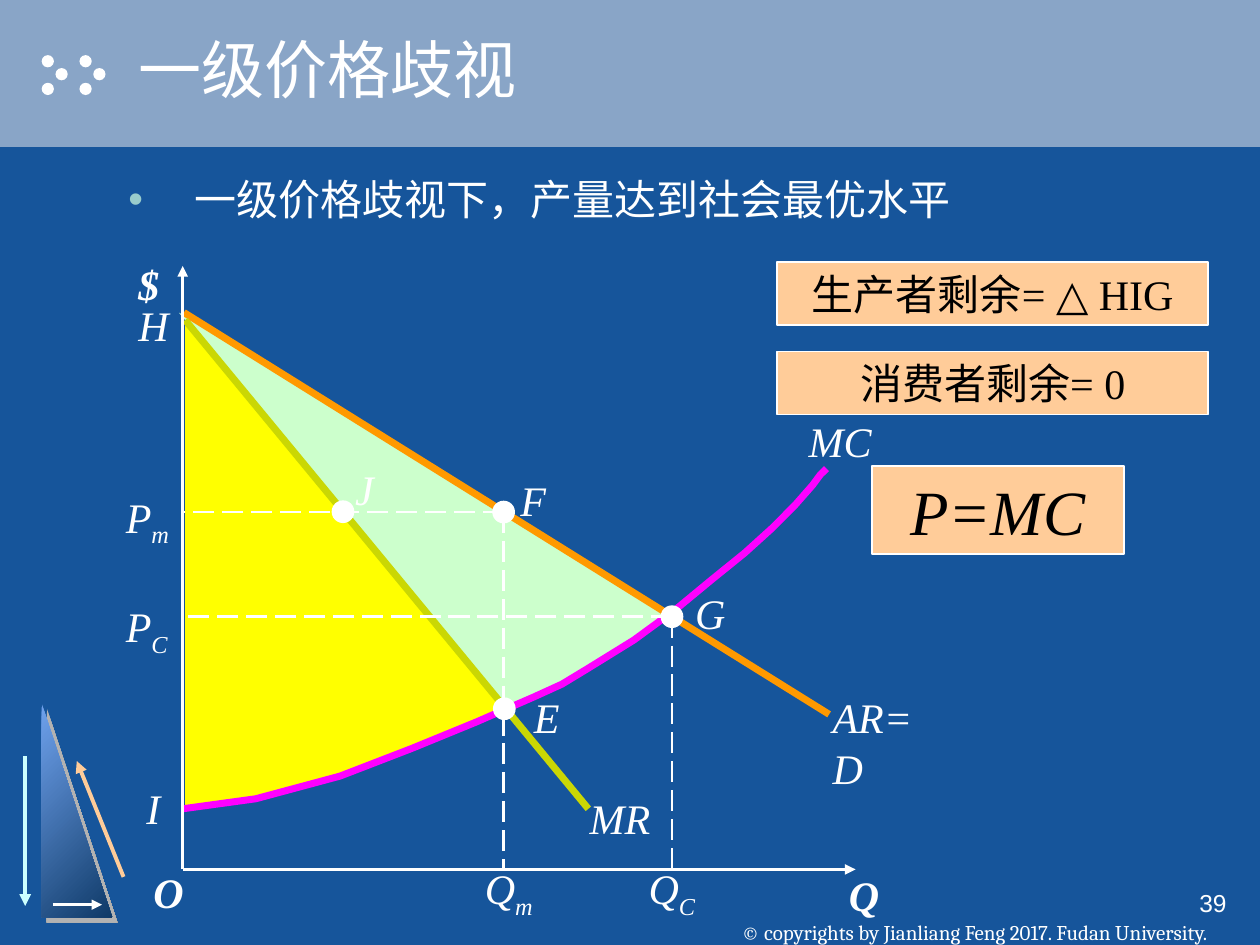
from dataclasses import dataclass

from lxml.etree import SubElement
from pptx import Presentation
from pptx.dml.color import RGBColor
from pptx.enum.dml import MSO_LINE
from pptx.enum.shapes import MSO_CONNECTOR, MSO_SHAPE
from pptx.enum.text import MSO_ANCHOR, MSO_AUTO_SIZE, PP_ALIGN
from pptx.oxml import parse_xml
from pptx.oxml.ns import nsdecls, qn
from pptx.util import Pt

Point = tuple[float, float]
WHITE, BLACK, PEACH = "FFFFFF", "000000", "FFCC99"
SERIF = "Times New Roman"

AXIS_X, AXIS_Y = 104.4, 496.8
F, E, G, J = (287.8, 292.6), (288.2, 405), (384, 352.4), (196, 292.4)
DOT_SIZE = 12
MC_CURVE = [
    (AXIS_X, 462.2), (146.2, 456.5), (194.4, 443.5), (235.4, 427.7), (272.2, 412.6),
    (305.3, 398.2), (321.1, 391), (335.5, 382.3), (362.2, 365.8), (385.9, 348.5),
    (406.8, 331.2), (425.5, 316.1), (441.4, 301.7), (454.3, 288.7), (464.4, 277.2),
    (468.7, 271.4), (472.3, 267.8),
]
BELOW_MR = [(105.8, 182.2), (105.8, 461.5), (154, 454.3), (206, 438.5), (250.6, 422), (286.6, 404)]
BETWEEN_MR_AND_AR = [(102.2, 178.6), (289.4, 404), (306, 398.2), (335.5, 382.3),
                     (358.6, 366.5), (381.6, 352)]


@dataclass
class Label:
    text: str
    left: float
    top: float
    width: float
    subscript: str = ""
    bold: bool = False


@dataclass
class Line:
    start: Point
    end: Point
    color: str = WHITE
    width: float = 1.5
    dashed: bool = False
    arrow: bool = False


@dataclass
class Callout:
    text: str
    left: float
    top: float
    width: float
    height: float
    size: float = 24
    italic: bool = False


AXIS_LABELS = [
    Label("AR=D", 468.7, 391.7, 77), Label("MR", 329.8, 449.3, 49), Label("MC", 455, 234, 50.4),
    Label("Q", 478, 493.2, 31.7, bold=True), Label("O", 80.6, 491.8, 31.7, bold=True),
    Label("$", 72, 144, 25.9, bold=True),
    Label("P", 64.8, 277.2, 38.9, "m"), Label("P", 64.8, 339.8, 38.2, "C"),
    Label("Q", 270, 489.6, 41.8, "m"), Label("Q", 363.6, 489.6, 41, "C"),
]
POINT_LABELS = [
    Label("J", 195.8, 255.6, 24), Label("E", 298, 386, 24), Label("F", 290.2, 262, 24),
    Label("G", 390.2, 326.2, 24), Label("H", 72, 162, 24), Label("I", 75.6, 437.8, 24),
]
GRAPH_LINES = [
    Line((105.1, 178.6), (473.8, 408.2), "FF9900", 4),
    Line((105.8, 182.9), (336.2, 462.2), "CAD704", 4),
]
AXES_AND_GUIDES = [
    Line((AXIS_X, AXIS_Y), (AXIS_X, 152), width=2, arrow=True),
    Line((AXIS_X, AXIS_Y), (488.9, AXIS_Y), width=2, arrow=True),
] + [
    Line(point, foot, dashed=True)
    for point in (F, G) for foot in ((point[0], AXIS_Y), (AXIS_X, point[1]))
]
TRIANGLE_ARROWS = [
    Line((14.4, 432), (14.4, 517.7), "CCFFFF", 2.25, arrow=True),
    Line((70.6, 501.1), (43.9, 434.9), PEACH, 2.25, arrow=True),
    Line((30.2, 517), (58.3, 517), arrow=True),
]
CALLOUTS = [
    Callout("P=MC", 498.2, 266.4, 144, 50.4, 36, True),
    Callout("生产者剩余= △ HIG", 444.2, 149.8, 246.2, 36),
    Callout("消费者剩余= 0", 444.2, 200.9, 246.2, 36),
]


def rgb(color: str) -> RGBColor:
    return RGBColor.from_string(color)


def format_font(font, size: float, color: str = WHITE, name: str = SERIF,
                bold: bool = False, italic: bool = False) -> None:
    font.name, font.size, font.bold, font.italic = name, Pt(size), bold, italic
    font.color.rgb = rgb(color)


def add_filled(shapes, kind, left: float, top: float, width: float, height: float,
               color: str, outline: str = ""):
    shape = shapes.add_shape(kind, Pt(left), Pt(top), Pt(width), Pt(height))
    shape.shadow.inherit = False
    shape.fill.solid()
    shape.fill.fore_color.rgb = rgb(color)
    if outline:
        shape.line.color.rgb = rgb(outline)
        shape.line.width = Pt(1)
    else:
        shape.line.fill.background()
    return shape


def add_line(shapes, line: Line) -> None:
    connector = shapes.add_connector(MSO_CONNECTOR.STRAIGHT, *map(Pt, line.start + line.end))
    connector.line.color.rgb = rgb(line.color)
    connector.line.width = Pt(line.width)
    if line.dashed:
        connector.line.dash_style = MSO_LINE.LONG_DASH
    properties = connector._element.spPr
    if line.arrow:
        SubElement(properties.find(qn("a:ln")), qn("a:tailEnd"), type="triangle")
    SubElement(properties, qn("a:effectLst"))


def add_outline(shapes, points: list[Point], closed: bool):
    builder = shapes.build_freeform(*map(Pt, points[0]))
    builder.add_line_segments([(Pt(x), Pt(y)) for x, y in points[1:]], close=closed)
    outline = builder.convert_to_shape()
    outline.shadow.inherit = False
    return outline


def add_area(shapes, points: list[Point], color: str) -> None:
    area = add_outline(shapes, points, True)
    area.fill.solid()
    area.fill.fore_color.rgb = rgb(color)
    area.line.fill.background()


def add_text(shapes, text: str, left: float, top: float, width: float, height: float):
    box = shapes.add_textbox(Pt(left), Pt(top), Pt(width), Pt(height))
    box.text_frame.text = text
    return box.text_frame


def add_label(shapes, label: Label, centred: bool = False) -> None:
    """Add an italic graph label; centred ones name a point on the curves."""
    frame = add_text(shapes, label.text, label.left, label.top, label.width, 42 if centred else 36)
    frame.word_wrap = centred
    paragraph = frame.paragraphs[0]
    if centred:
        paragraph.alignment = PP_ALIGN.CENTER
        paragraph.line_spacing = 1.2
    if label.subscript:
        paragraph.add_run().text = label.subscript
    for run in paragraph.runs:
        format_font(run.font, 24, bold=label.bold, italic=True)
    if label.subscript:
        paragraph.runs[1].font._element.set("baseline", "-25000")


def add_dot(shapes, centre: Point) -> None:
    left, top = (value - DOT_SIZE / 2 for value in centre)
    add_filled(shapes, MSO_SHAPE.OVAL, left, top, DOT_SIZE, DOT_SIZE, WHITE, WHITE)


def add_callout(shapes, callout: Callout) -> None:
    box = add_filled(shapes, MSO_SHAPE.RECTANGLE, callout.left, callout.top,
                     callout.width, callout.height, PEACH, WHITE)
    box.text_frame.text = callout.text
    paragraph = box.text_frame.paragraphs[0]
    paragraph.alignment = PP_ALIGN.CENTER
    format_font(paragraph.runs[0].font, callout.size, BLACK, italic=callout.italic)


def shadow_xml(color: str, distance: float) -> str:
    return (f'<a:effectLst {nsdecls("a")}><a:outerShdw dist="{Pt(distance)}" dir="2700000">'
            f'<a:srgbClr val="{color}"/></a:outerShdw></a:effectLst>')


def add_decoration(shapes) -> None:
    add_filled(shapes, MSO_SHAPE.RECTANGLE, 0, 0, 720, 84, "89A5C7")
    for group_left in (23.8, 45.4):
        for dx, top in ((0, 31.5), (7.9, 38.9), (0, 47.3)):
            add_filled(shapes, MSO_SHAPE.OVAL, group_left + dx, top, 7, 7, WHITE)
    triangle = add_filled(shapes, MSO_SHAPE.RIGHT_TRIANGLE, 23.8, 401.8, 40.3, 122.4, "6FA2ED")
    triangle.fill.gradient()
    triangle.fill.gradient_angle = 315
    for stop, color, position in zip(triangle.fill.gradient_stops, ("6FA2ED", "0F3A68"), (0, 1)):
        stop.color.rgb = rgb(color)
        stop.position = position
    properties = triangle._element.spPr
    properties.replace(properties.find(qn("a:effectLst")), parse_xml(shadow_xml("B2B2B2", 4.2)))
    for arrow in TRIANGLE_ARROWS:
        add_line(shapes, arrow)


def fill_placeholder(holder, text: str, left: float, top: float, width: float, height: float):
    holder.left, holder.top, holder.width, holder.height = map(Pt, (left, top, width, height))
    holder.text_frame.text = text
    holder.text_frame.auto_size = MSO_AUTO_SIZE.NONE
    paragraph = holder.text_frame.paragraphs[0]
    paragraph.alignment = PP_ALIGN.LEFT
    paragraph.space_before = Pt(0)
    return paragraph


def add_heading_and_bullet(slide) -> None:
    title = fill_placeholder(slide.shapes.title, "一级价格歧视", 72, 0, 648, 77.8)
    format_font(title.runs[0].font, 36, name="Arial")
    title.runs[0].font._element.find(qn("a:solidFill")).addnext(parse_xml(shadow_xml(BLACK, 1.5)))
    bullet = fill_placeholder(slide.placeholders[1], "一级价格歧视下，产量达到社会最优水平",
                              66.2, 95.8, 588.2, 360)
    properties = bullet._element.get_or_add_pPr()
    properties.set("marL", str(Pt(37.5)))
    properties.set("indent", str(Pt(-37.5)))
    SubElement(SubElement(properties, qn("a:buClr")), qn("a:srgbClr"), val="99CCCC")
    SubElement(properties, qn("a:buFont"), typeface="Arial")
    SubElement(properties, qn("a:buChar"), char="•")
    format_font(bullet.runs[0].font, 24)


def add_footer(shapes) -> None:
    copyright_line = add_text(shapes, "© copyrights by Jianliang Feng 2017. Fudan University.",
                              392, 504, 330, 36)
    copyright_line.word_wrap = False
    copyright_line.vertical_anchor = MSO_ANCHOR.BOTTOM
    copyright_line.margin_top = copyright_line.margin_bottom = Pt(0)
    copyright_line.paragraphs[0].alignment = PP_ALIGN.CENTER
    format_font(copyright_line.paragraphs[0].runs[0].font, 12, name="Cambria")
    page_number = add_text(shapes, "39", 558, 504, 150, 36)
    page_number.word_wrap = True
    page_number.paragraphs[0].alignment = PP_ALIGN.RIGHT
    format_font(page_number.paragraphs[0].runs[0].font, 14, name="Arial")


def add_graph(shapes) -> None:
    add_area(shapes, BELOW_MR, "FFFF00")
    add_area(shapes, BETWEEN_MR_AND_AR, "CCFFCC")
    for line in GRAPH_LINES:
        add_line(shapes, line)
    marginal_cost = add_outline(shapes, MC_CURVE, False)
    marginal_cost.fill.background()
    marginal_cost.line.color.rgb = rgb("FF00FF")
    marginal_cost.line.width = Pt(4)
    for line in AXES_AND_GUIDES:
        add_line(shapes, line)
    for label in AXIS_LABELS:
        add_label(shapes, label)
    for label in POINT_LABELS:
        add_label(shapes, label, centred=True)
    for point in (F, E, G, J):
        add_dot(shapes, point)


def main() -> None:
    presentation = Presentation()
    presentation.slide_width, presentation.slide_height = Pt(720), Pt(540)
    slide = presentation.slides.add_slide(presentation.slide_layouts[1])
    slide.background.fill.solid()
    slide.background.fill.fore_color.rgb = rgb("16559B")
    add_decoration(slide.shapes)
    add_footer(slide.shapes)
    add_heading_and_bullet(slide)
    add_graph(slide.shapes)
    for callout in CALLOUTS:
        add_callout(slide.shapes, callout)
    # The placeholders come first in the tree, so the header band would cover the title.
    tree = slide.shapes._spTree
    for holder in list(slide.placeholders):
        tree.append(holder._element)
    presentation.save("out.pptx")


if __name__ == "__main__":
    main()
